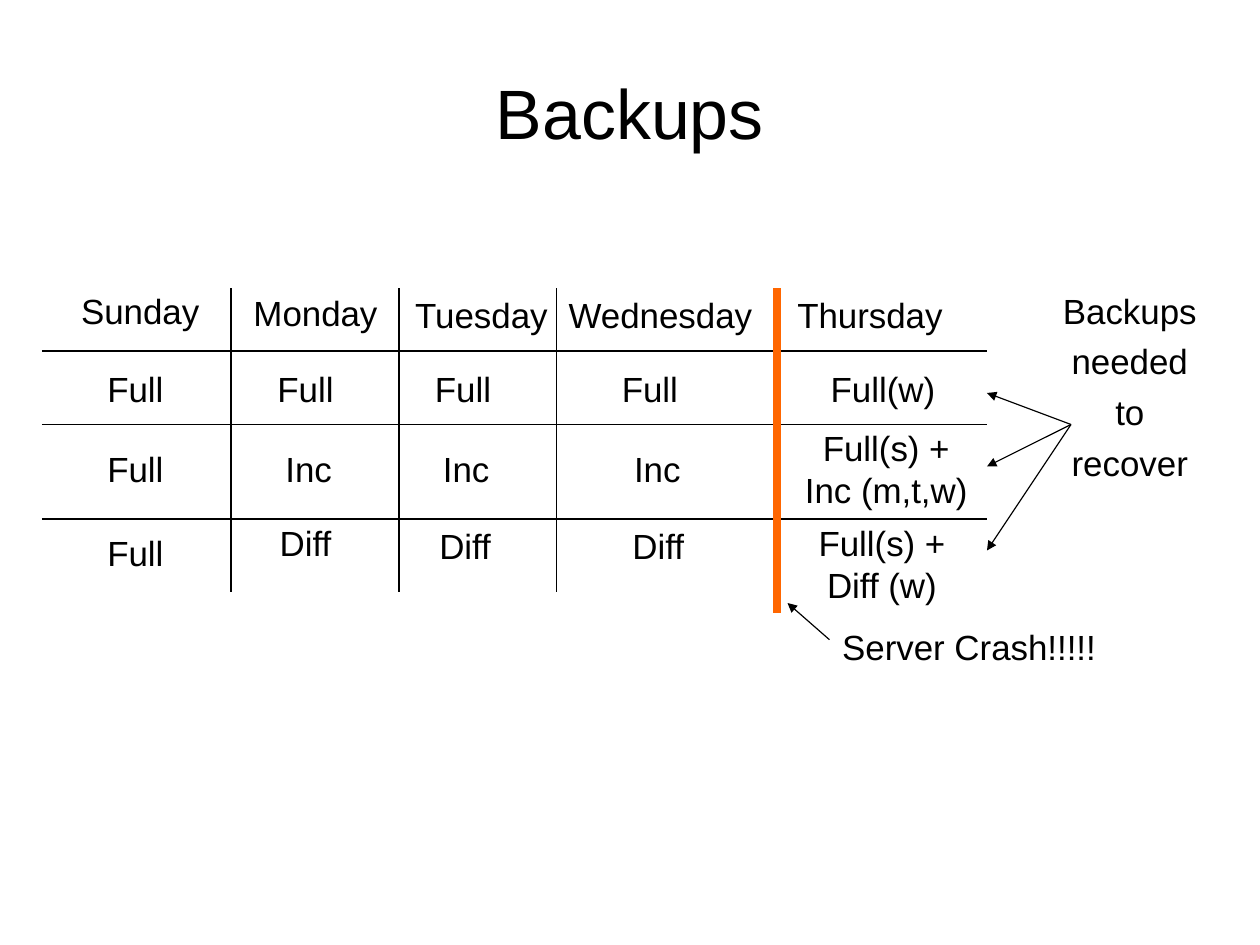
from dataclasses import dataclass

from lxml.etree import SubElement
from pptx import Presentation
from pptx.dml.color import RGBColor
from pptx.enum.shapes import MSO_CONNECTOR as Connector
from pptx.enum.text import MSO_ANCHOR as Anchor, MSO_AUTO_SIZE as AutoSize, PP_ALIGN as Align
from pptx.oxml.ns import qn
from pptx.slide import Slide
from pptx.text.text import TextFrame
from pptx.util import Cm, Pt

SLIDE_W, SLIDE_H = Cm(28), Cm(21)
BLACK = RGBColor(0x00, 0x00, 0x00)
ORANGE = RGBColor(0xFF, 0x66, 0x00)
FONT = "Arial"

# Square grid: 120 columns across the slide, rows counted from the schedule's top
UNIT = SLIDE_W / 120
SCHEDULE_TOP = Cm(6.4)
LINE_HEIGHT = 5.12


@dataclass(frozen=True)
class Rule:
    start: tuple[float, float]
    end: tuple[float, float]
    color: RGBColor = BLACK
    weight: float = 0.75
    arrow: bool = False


@dataclass(frozen=True)
class Label:
    text: str
    center: float
    top: float
    width: float
    height: float = LINE_HEIGHT
    wrap: bool = False


def col(columns: float) -> int:
    return round(columns * UNIT)


def row(rows: float) -> int:
    return round(SCHEDULE_TOP + rows * UNIT)


def write(frame: TextFrame, text: str, size: float) -> None:
    frame.text = text
    for paragraph in frame.paragraphs:
        paragraph.alignment = Align.CENTER
        paragraph.font.name = FONT
        paragraph.font.size = Pt(size)
        paragraph.font.color.rgb = BLACK


def draw_rule(slide: Slide, rule: Rule) -> None:
    (x1, y1), (x2, y2) = rule.start, rule.end
    connector = slide.shapes.add_connector(
        Connector.STRAIGHT, col(x1), row(y1), col(x2), row(y2))
    connector.line.color.rgb = rule.color
    connector.line.width = Pt(rule.weight)
    if rule.arrow:
        SubElement(connector.line._get_or_add_ln(), qn("a:tailEnd"), type="triangle")
    SubElement(connector._element.spPr, qn("a:effectLst"))


def draw_label(slide: Slide, label: Label) -> None:
    box = slide.shapes.add_textbox(
        col(label.center - label.width / 2), row(label.top),
        col(label.width), col(label.height))
    frame = box.text_frame
    frame.word_wrap = label.wrap
    frame.auto_size = AutoSize.SHAPE_TO_FIT_TEXT
    write(frame, label.text, 22)
    for paragraph in frame.paragraphs:
        paragraph.space_before = Pt(5.5)


def draw_title(slide: Slide, text: str) -> None:
    box = slide.shapes.add_textbox(
        round(SLIDE_W * 0.05), round(SLIDE_H * 0.039),
        round(SLIDE_W * 0.9), round(SLIDE_H * 0.167))
    frame = box.text_frame
    frame.word_wrap = True
    frame.vertical_anchor = Anchor.MIDDLE
    frame.margin_left = frame.margin_right = frame.margin_top = frame.margin_bottom = 0
    write(frame, text, 44)
    frame.paragraphs[0].line_spacing = 0.93


# Schedule lines, with the crash between Wednesday and Thursday
ROW_RULES = [Rule((4, y), (94, y)) for y in (6, 13, 22)]
DAY_RULES = [Rule((x, 0), (x, 29)) for x in (22, 38, 53)]
CRASH_RULE = Rule((74, 0), (74, 31), ORANGE, 5)

# Arrows to the crash and to each recovery set
CRASH_ARROW = Rule((79, 33.5), (75, 30), arrow=True)
RECOVERY_ARROWS = [Rule((102, 13), (94, y), arrow=True) for y in (10, 17, 25)]

DAYS = [
    Label("Sunday", 13.35, -0.4, 13.9),
    Label("Monday", 30.05, -0.2, 14.4),
    Label("Tuesday", 45.85, 0, 15.2),
    Label("Wednesday", 62.9, 0, 20),
    Label("Thursday", 82.85, 0, 16.4),
]
FULL_BACKUPS = [
    Label("Full", x, y, 7.8)
    for x, y in ((12.9, 7), (29.1, 7), (44.1, 7), (61.9, 7), (12.9, 14.7), (12.9, 22.7))
]
INCREMENTALS = [Label("Inc", x, 14.7, 7) for x in (29.4, 44.4, 62.6)]
DIFFERENTIALS = [
    Label("Diff", x, y, 7.5) for x, y in ((29.1, 21.7), (44.3, 22), (62.7, 22))
]
RECOVERY_SETS = [
    Label("Full(w)", 84.1, 7, 12.6),
    Label("Full(s) + Inc (m,t,w)", 84.4, 12.7, 19, 9.15, wrap=True),
    Label("Full(s) + Diff (w)", 84, 21.7, 16, 9.15, wrap=True),
]
CAPTIONS = [
    Label("Server Crash!!!!!", 92.3, 31.6, 27),
    Label("Backups\nneeded\nto\nrecover", 107.6, -0.4, 15.2, 19.6),
]


def main() -> None:
    deck = Presentation()
    deck.slide_width, deck.slide_height = SLIDE_W, SLIDE_H
    slide = deck.slides.add_slide(deck.slide_layouts[6])
    draw_title(slide, "Backups")
    for rule in [*ROW_RULES, *DAY_RULES, CRASH_RULE, CRASH_ARROW, *RECOVERY_ARROWS]:
        draw_rule(slide, rule)
    for label in [*DAYS, *FULL_BACKUPS, *INCREMENTALS, *DIFFERENTIALS,
                  *RECOVERY_SETS, *CAPTIONS]:
        draw_label(slide, label)
    deck.save("out.pptx")


if __name__ == "__main__":
    main()
